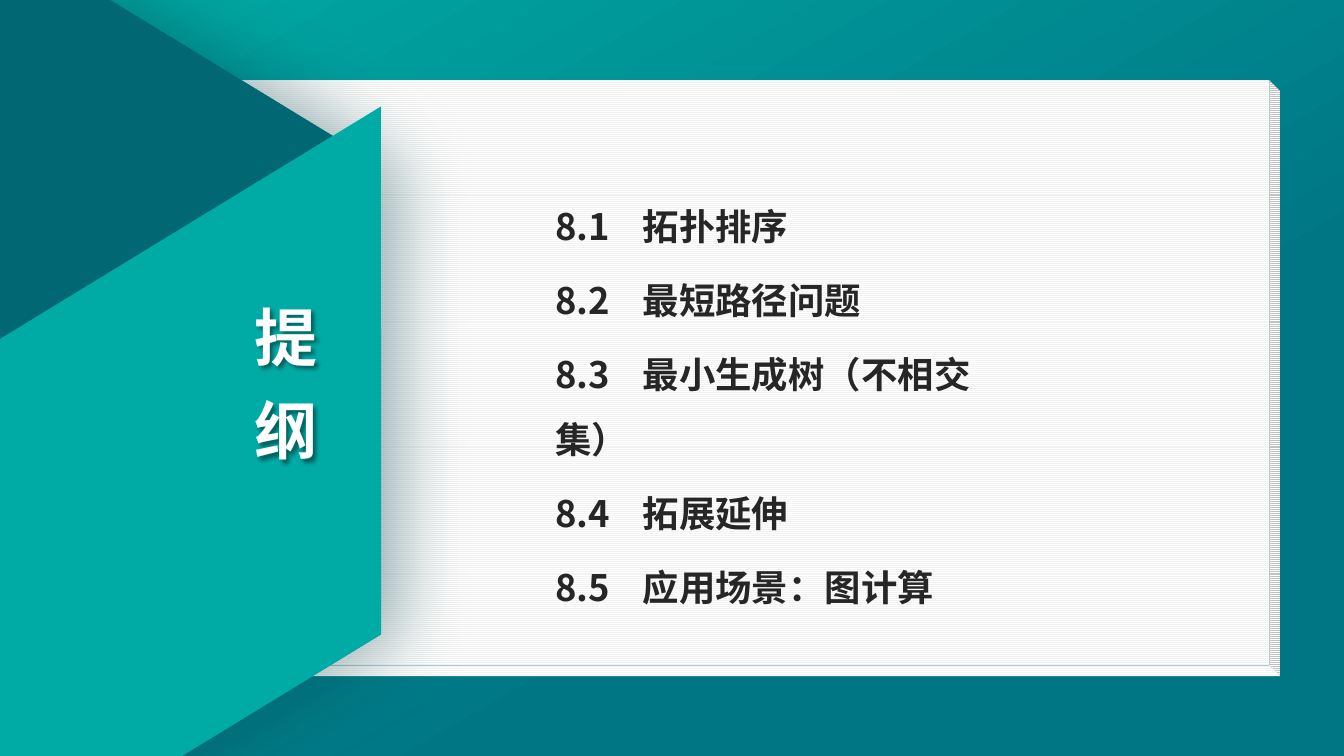
"""Build the chapter outline slide with a paper panel and folded teal shapes."""
from lxml import etree
from pptx import Presentation
from pptx.dml.color import RGBColor
from pptx.enum import dml, shapes, text
from pptx.oxml import ns
from pptx.util import Pt


class Theme:
    teal = RGBColor.from_string("00ABA5")
    deep_teal = RGBColor.from_string("007684")
    dark_teal = RGBColor.from_string("016773")
    paper = RGBColor.from_string("FFFFFF")
    paper_rule = RGBColor.from_string("F2F2F2")
    ink = RGBColor.from_string("262626")
    fold_shadow = "013F45"
    title_shadow = "000000"
    font = "Noto Sans CJK SC"
    title_size = Pt(45)
    item_size = Pt(26)


def add_shadow(shape, color, opacity, blur, distance, angle):
    shape.shadow.inherit = False
    effects = shape._element.spPr.find(ns.qn("a:effectLst"))
    shadow = etree.SubElement(effects, ns.qn("a:outerShdw"), blurRad=str(Pt(blur)),
                              dist=str(Pt(distance)), dir=str(angle * 60000),
                              algn="ctr", rotWithShape="0")
    tint = etree.SubElement(shadow, ns.qn("a:srgbClr"), val=color)
    etree.SubElement(tint, ns.qn("a:alpha"), val=str(opacity * 1000))


def style_font(paragraph, size, color):
    font = paragraph.font
    font.name, font.size, font.bold = Theme.font, size, True
    font.color.rgb = color
    etree.SubElement(font._element, ns.qn("a:ea"), typeface=Theme.font)


presentation = Presentation()
presentation.slide_width, presentation.slide_height = Pt(960), Pt(540)
slide = presentation.slides.add_slide(presentation.slide_layouts[6])

background = slide.background.fill
background.gradient()
background.gradient_angle = 300
for stop, color, position in zip(background.gradient_stops,
                                 (Theme.teal, Theme.deep_teal), (0, 0.67)):
    stop.color.rgb, stop.position = color, position

panel = slide.shapes.add_shape(shapes.MSO_SHAPE.CUBE, Pt(0), Pt(57.5), Pt(914.4), Pt(425.5))
panel.adjustments[0] = 0.018
panel._element.spPr.xfrm.set("flipV", "1")
panel.fill.patterned()
panel.fill.pattern = dml.MSO_PATTERN.LIGHT_HORIZONTAL
panel.fill.fore_color.rgb = Theme.paper_rule
panel.fill.back_color.rgb = Theme.paper

back_fold = slide.shapes.add_shape(shapes.MSO_SHAPE.HEXAGON,
                                   Pt(-447), Pt(-57), Pt(753), Pt(685))
back_fold.rotation = 90
back_fold.adjustments[0] = 0.305
back_fold.fill.gradient()
back_fold.fill.gradient_angle = 270
for stop, color, position in zip(back_fold.fill.gradient_stops,
                                 (Theme.dark_teal, Theme.deep_teal), (0.77, 1)):
    stop.color.rgb, stop.position = color, position

front_fold = slide.shapes.add_shape(shapes.MSO_SHAPE.PARALLELOGRAM,
                                    Pt(-197.3), Pt(208), Pt(597), Pt(322))
front_fold.rotation = 328.6
front_fold.adjustments[0] = 0.61
front_fold.fill.solid()
front_fold.fill.fore_color.rgb = Theme.teal

for shape in (panel, back_fold, front_fold):
    shape.line.fill.background()
    shape.shadow.inherit = False
add_shadow(back_fold, Theme.fold_shadow, 40, 55, 13, 0)

title = slide.shapes.add_textbox(Pt(174), Pt(200), Pt(60), Pt(134))
frame = title.text_frame
frame.word_wrap = True
frame.margin_left = frame.margin_right = frame.margin_top = frame.margin_bottom = 0
for index, character in enumerate("提纲"):
    paragraph = frame.add_paragraph() if index else frame.paragraphs[0]
    paragraph.text = character
    paragraph.alignment = text.PP_ALIGN.CENTER
    paragraph.line_spacing = Pt(67)
    style_font(paragraph, Theme.title_size, Theme.paper)
add_shadow(title, Theme.title_shadow, 43, 3, 3, 45)

outline = slide.shapes.add_textbox(Pt(389.5), Pt(130.3), Pt(347), Pt(258.5))
frame = outline.text_frame
frame.word_wrap = True
frame.auto_size = text.MSO_AUTO_SIZE.SHAPE_TO_FIT_TEXT
frame.margin_top = 0
topics = ("拓扑排序", "最短路径问题", "最小生成树（不相交集）", "拓展延伸", "应用场景：图计算")
for index, topic in enumerate(topics):
    paragraph = frame.add_paragraph() if index else frame.paragraphs[0]
    paragraph.text = f"8.{index + 1}\t{topic}"
    paragraph.line_spacing = 1.5
    if index:
        paragraph.space_before = Pt(6)
    tabs = etree.SubElement(paragraph._p.get_or_add_pPr(), ns.qn("a:tabLst"))
    etree.SubElement(tabs, ns.qn("a:tab"), pos=str(Pt(62.5)), algn="l")
    style_font(paragraph, Theme.item_size, Theme.ink)

presentation.save("out.pptx")
